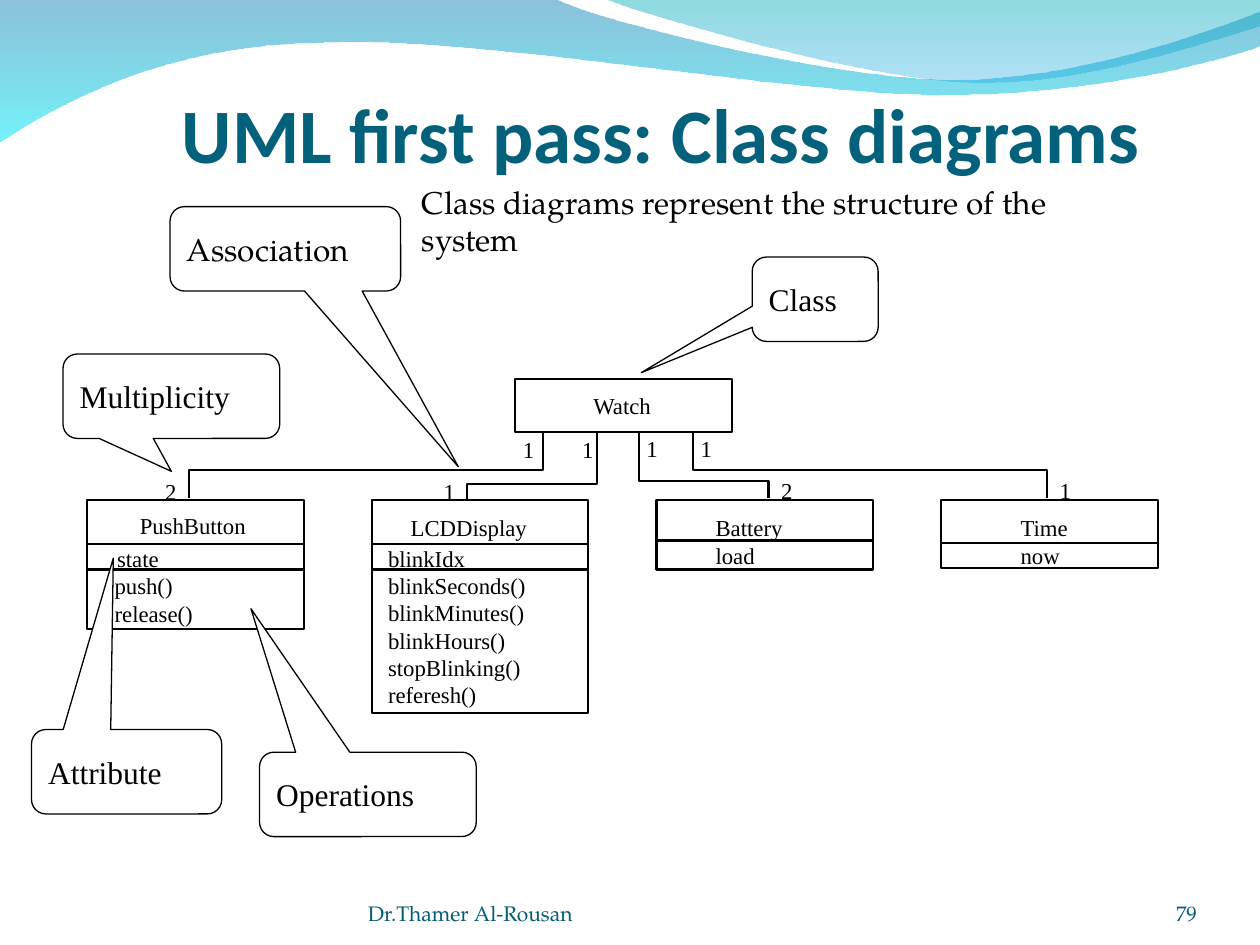
from pptx import Presentation, util as u
from pptx.dml.color import RGBColor
from pptx.enum import shapes, text
from pptx.oxml.ns import qn
from lxml import etree

HUE = {"ink": "000000", "paper": "FFFFFF", "title": "04617B", "foot": "045C75",
       "blue": "0079AF", "cyan": "00EBF8", "teal": "00ADB6", "sky": "009BE5"}
SERIF, BOOK = "Times New Roman", "TeX Gyre Pagella"
LEFT, TOP, PITCH, WIDE = 0.69, 3.97, 2.26, 1.72  # grid of the class boxes
LINE = 0.22  # height of one label line

# Compartment heights of each class
CLASSES = [(0.35, 0.2, 0.47), (0.35, 0.2, 1.14), (0.32, 0.23), (0.34, 0.2)]

# Class end x, class end y, bend y, Watch end x, Watch end y
WIRES = [(1.5, 3.95, 3.73, 4.31, 3.4), (3.71, 3.97, 3.84, 4.74, 3.42),
         (6.1, 3.95, 3.82, 5.07, 3.42), (8.31, 3.95, 3.73, 5.5, 3.4)]

# Words, left, top, width, tip x, tip y, font
CALLOUTS = [("Class", 5.97, 2.04, 1, -1.38, 0.87, SERIF),
            ("Association", 1.35, 1.64, 1.83, 0.75, 2.58, BOOK),
            ("Multiplicity", 0.5, 2.81, WIDE, 0, 0.89, SERIF),
            ("Attribute", 0.25, 5.79, 1.51, -0.07, -2.53, SERIF),
            ("Operations", 2.06, 5.97, WIDE, -0.54, -2.2, SERIF)]

# Lines, left, top, width
LABELS = [(["Watch"], 4.71, 3.11, 0.47),
          (["PushButton"], 1.11, 4.06, 0.84),
          (["state"], 0.93, 4.32, 0.33),
          (["push()", "release()"], 0.91, 4.54, 0.62),
          (["LCDDisplay"], 3.26, 4.08, 0.92),
          (["blinkIdx", "blinkSeconds()", "blinkMinutes()", "blinkHours()",
            "stopBlinking()", "referesh()"], 3.08, 4.32, 1.51),
          (["Battery", "load"], 5.68, 4.08, 0.53),
          (["Time", "now"], 8.1, 4.08, 0.38)]

# Multiplicity, left, top
COUNTS = [("1", 4.15, 3.46), ("1", 4.62, 3.46), ("1", 5.13, 3.45), ("1", 5.56, 3.45),
          ("2", 1.31, 3.79), ("1", 3.52, 3.79), ("2", 6.2, 3.78), ("1", 8.41, 3.78)]

# Start point, then lines (one point) and curves (three points)
WAVES = [
    ((0, -0.01), [[(4.4, -0.01)],
                  [(4.76, 0.17), (6.64, 0.63), (7.58, 0.63)],
                  [(8.53, 0.63), (9.58, 0.26), (10, 0.09)],
                  [(10.01, 0.36)],
                  [(9.83, 0.44), (8.7, 0.76), (7.46, 0.75)],
                  [(6.22, 0.75), (3.82, 0.28), (2.57, 0.34)],
                  [(1.29, 0.35), (0.46, 0.83), (-0.01, 1.13)]],
     [("blue", 45), ("cyan", 55)]),
    ((4.79, -0.01), [[(5.09, 0.11), (6.82, 0.62), (7.69, 0.65)],
                     [(8.56, 0.69), (9.61, 0.32), (10, 0.21)],
                     [(10, 0)]],
     [("teal", 45), ("sky", 30)]),
]


def rgb(name):
    return RGBColor.from_string(HUE[name])


def inches(*sizes):
    return [u.Inches(s) for s in sizes]


def write(shape, lines, style, inset=(0, 0, 0, 0), wrap=True, anchor="TOP", align="LEFT"):
    frame = shape.text_frame
    sides = ("margin_left", "margin_top", "margin_right", "margin_bottom")
    form = dict(zip(sides, inches(*inset)), word_wrap=wrap,
                vertical_anchor=getattr(text.MSO_ANCHOR, anchor))
    for key, value in form.items():
        setattr(frame, key, value)
    frame.text = "\n".join(lines)
    size, face, hue, bold = style
    for para in frame.paragraphs:
        para.alignment = getattr(text.PP_ALIGN, align)
        for key, value in {"size": u.Pt(size), "name": face, "bold": bold}.items():
            setattr(para.font, key, value)
        para.font.color.rgb = rgb(hue)


def label(slide, lines, box, style, **form):
    shape = slide.shapes.add_textbox(*inches(*box))
    write(shape, lines, style, **form)


def dress(shape, width, fill=None):
    """Give a shape a black line, and a plain fill or none."""
    shape.shadow.inherit = False
    shape.line.color.rgb = rgb("ink")
    shape.line.width = u.Pt(width)
    if fill:
        shape.fill.solid()
        shape.fill.fore_color.rgb = rgb(fill)
    else:
        shape.fill.background()


def box(slide, left, top, high, fill=None):
    kind = shapes.MSO_SHAPE.RECTANGLE
    shape = slide.shapes.add_shape(kind, *inches(left, top, WIDE, high))
    dress(shape, 1.25, fill)


def outline(slide, points, close):
    spots = [inches(*p) for p in points]
    pen = slide.shapes.build_freeform(*spots[0])
    pen.add_line_segments(spots[1:], close=close)
    return pen.convert_to_shape()


def curve(shape, parts):
    """Join the three line steps of each curved part into one cubic step."""
    steps = iter(list(shape._element.spPr.iter(qn("a:lnTo"))))
    for part in parts:
        run = [next(steps) for _ in part]
        if len(run) == 3:
            cubic = etree.Element(qn("a:cubicBezTo"))
            run[0].addprevious(cubic)
            for step in run:
                cubic.append(step[0])
                step.getparent().remove(step)


def wave(slide, start, parts, stops):
    shape = outline(slide, [start] + sum(parts, []), True)
    curve(shape, parts)
    shape.shadow.inherit = False
    shape.line.fill.background()
    shape.fill.gradient()
    shape.fill.gradient_angle = 270
    for stop, (hue, _) in zip(shape.fill.gradient_stops, stops):
        stop.color.rgb = rgb(hue)
    for node, (_, share) in zip(shape._element.spPr.iter(qn("a:srgbClr")), stops):
        etree.SubElement(node, qn("a:alpha"), val=str(share * 1000))


def callout(slide, words, left, top, wide, tipx, tipy, face):
    kind = shapes.MSO_SHAPE.ROUNDED_RECTANGULAR_CALLOUT
    shape = slide.shapes.add_shape(kind, *inches(left, top, wide, 0.67))
    for i, value in enumerate((tipx, tipy, 0.17)):
        shape.adjustments[i] = value
    dress(shape, 0.75, "paper")
    write(shape, [words], (18, face, "ink", False), (0.1, 0.05, 0.1, 0.05),
          wrap=False, anchor="MIDDLE")


def heading(slide):
    title = slide.shapes.title
    title.left, title.top, title.width, title.height = inches(0.75, 0.17, 9, 1.25)
    write(title, ["UML first pass: Class diagrams"], (44, "Calibri", "title", True),
          (0, 0.05, 0, 0), anchor="BOTTOM", align="CENTER")


def footer(slide):
    style = (12, BOOK, "foot", False)
    label(slide, ["Dr.Thamer Al-Rousan"], (2.92, 6.95, 3.67, 0.4), style, anchor="BOTTOM")
    label(slide, ["79"], (8.67, 6.95, 0.83, 0.4), style, anchor="BOTTOM", align="RIGHT")


def diagram(slide):
    for col, highs in enumerate(CLASSES):
        for row, high in enumerate(highs):
            box(slide, LEFT + col * PITCH, TOP + sum(highs[:row]), high)
    for x, y, mid, endx, endy in WIRES:
        wire = outline(slide, [(x, y), (x, mid), (endx, mid), (endx, endy)], False)
        dress(wire, 1.25)
    box(slide, 4.09, 3.01, 0.42, "paper")
    for item in CALLOUTS:
        callout(slide, *item)
    style = (13, SERIF, "ink", False)
    for lines, left, top, wide in LABELS:
        label(slide, lines, (left, top, wide, LINE * len(lines)), style, wrap=False)
    for count, left, top in COUNTS:
        label(slide, [count], (left, top, 0.09, LINE), style, wrap=False)


def main():
    deck = Presentation()
    deck.slide_width, deck.slide_height = inches(10, 7.5)
    slide = deck.slides.add_slide(deck.slide_layouts[5])
    for item in WAVES:
        wave(slide, *item)
    heading(slide)
    footer(slide)
    diagram(slide)
    label(slide, ["Class diagrams represent the structure of the system"],
          (3.25, 1.4, 5.83, 0.7), (18, BOOK, "ink", False),
          inset=(0.1, 0.05, 0.1, 0.05), anchor="MIDDLE")
    deck.save("out.pptx")


if __name__ == "__main__":
    main()
